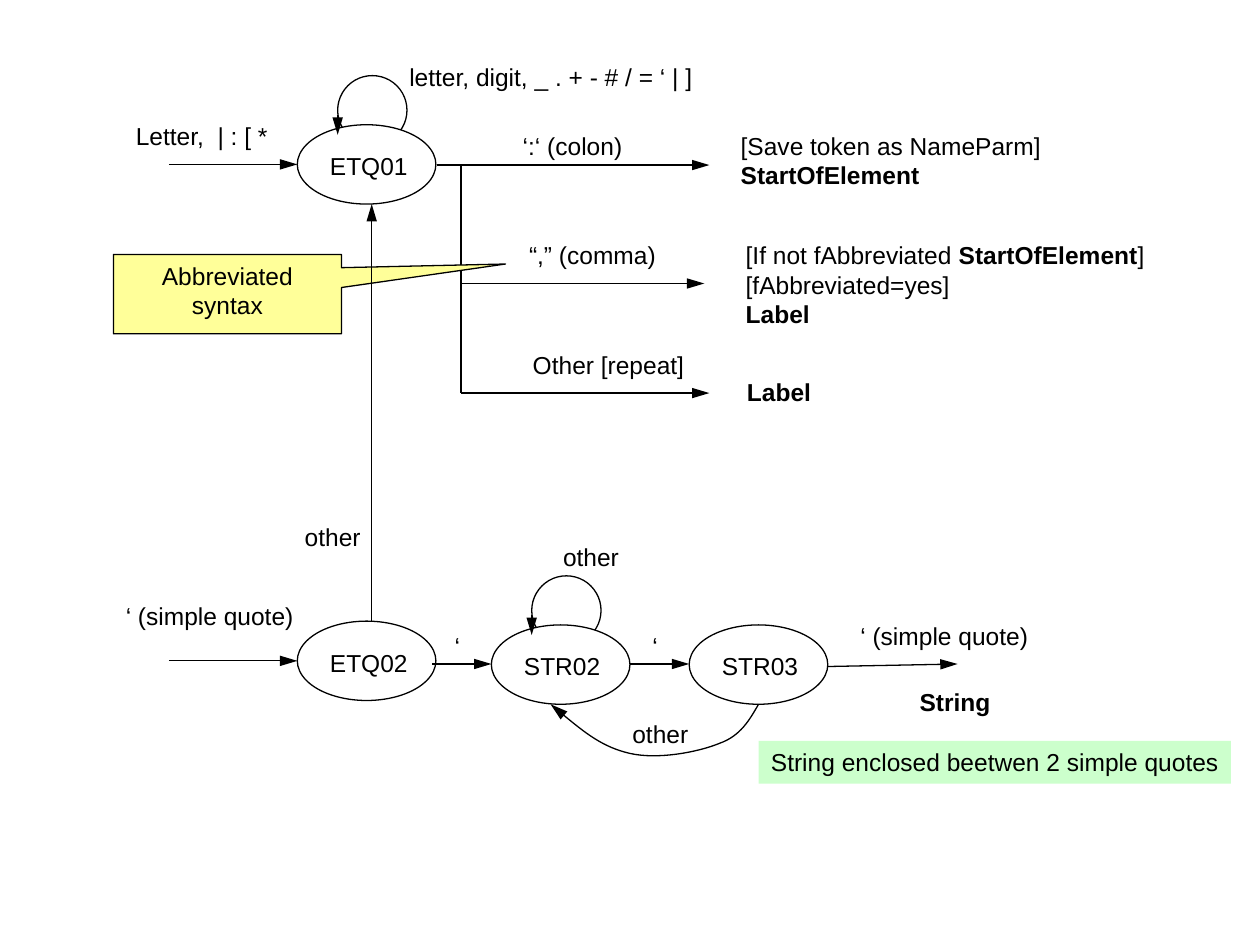
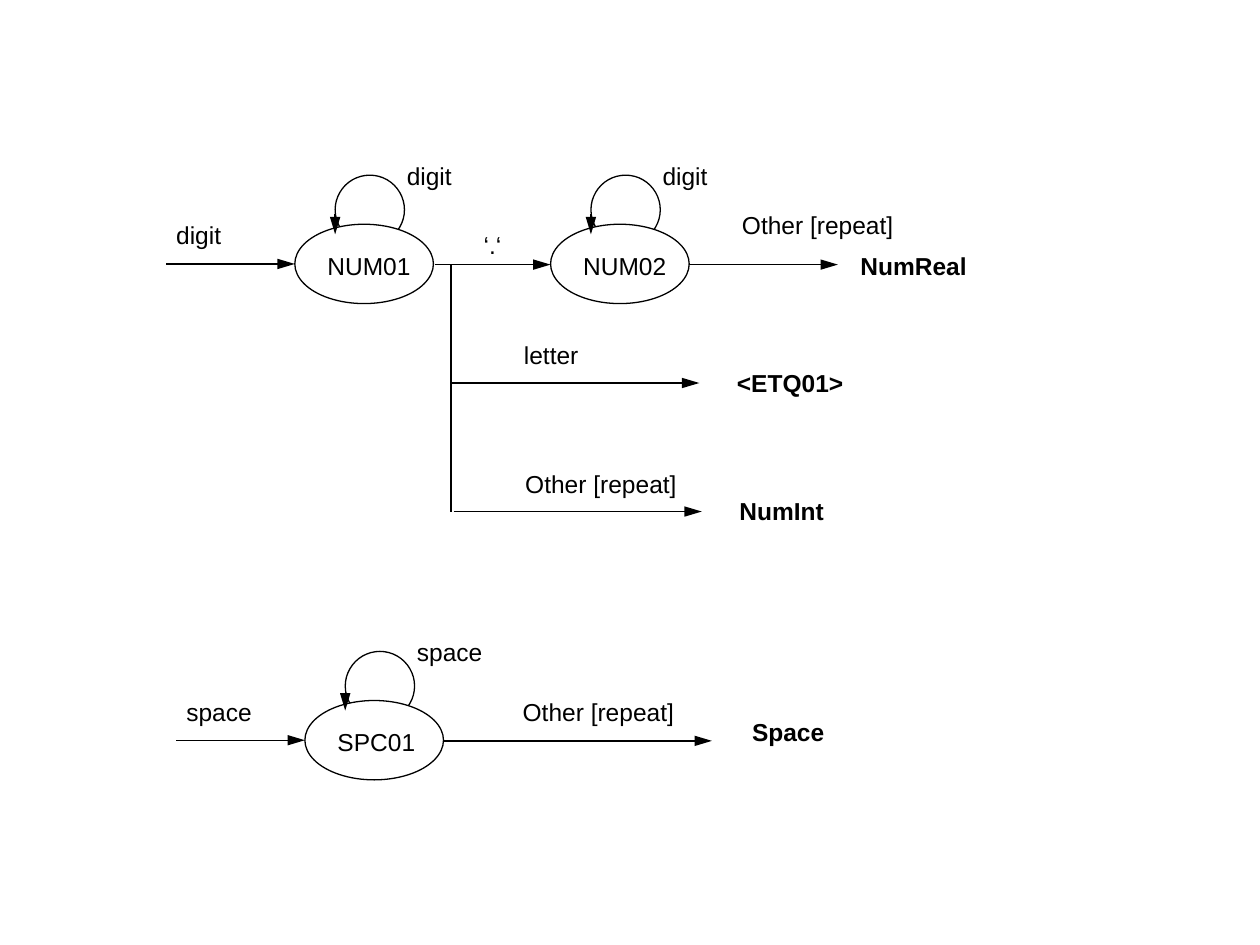
from lxml import etree
from pptx import Presentation
from pptx.dml.color import RGBColor
from pptx.enum import shapes, text
from pptx.oxml import ns
from pptx.util import Inches, Pt

BLACK = RGBColor(0x00, 0x00, 0x00)
WHITE = RGBColor(0xFF, 0xFF, 0xFF)
YELLOW = RGBColor(0xFF, 0xFF, 0x99)
GREEN = RGBColor(0xCC, 0xFF, 0xCC)

FONT = {"name": "Arial", "size": Pt(14)}
LINE_WIDTH = Pt(0.75)
LABEL_HEIGHT = 0.34
OUTCOME_WIDTH = 1.61
REPEAT = "Other [repeat]"
REPEAT_WIDTH = 1.4

STATE_WIDTH, STATE_HEIGHT = 1.1, 0.63
LOOP_SIZE = 0.55
LOOP_DX, LOOP_DY = 0.32, -0.39
ENTRY_LENGTH = 1.02


def set_values(target, values):
    for name, value in values.items():
        setattr(target, name, value)


def write(box, paras, wrap=False, align=None, grow=True):
    """Fill a box with paragraphs, each a list of (text, bold) spans."""
    frame = box.text_frame
    auto = text.MSO_AUTO_SIZE
    set_values(frame, {
        "word_wrap": wrap,
        "vertical_anchor": text.MSO_ANCHOR.TOP,
        "auto_size": auto.SHAPE_TO_FIT_TEXT if grow else auto.NONE,
        # Tight one-line boxes need slack on the right to stay on one line.
        "margin_right": Inches(0.1 if wrap else 0.04),
    })
    for index, spans in enumerate(paras):
        para = frame.add_paragraph() if index else frame.paragraphs[0]
        para.alignment = align or text.PP_ALIGN.LEFT
        for words, bold in spans:
            span = para.add_run()
            span.text = words
            set_values(span.font, {**FONT, "bold": bold})
            span.font.color.rgb = BLACK


def add_paras(page, x, y, width, paras, wrap=False):
    height = LABEL_HEIGHT + 0.23 * (len(paras) - 1)
    box = page.shapes.add_textbox(*map(Inches, (x, y, width, height)))
    write(box, paras, wrap)


def add_label(page, x, y, width, words, wrap=False):
    add_paras(page, x, y, width, [[(words, False)]], wrap)


def add_outcome(page, x, y, words):
    add_paras(page, x, y, OUTCOME_WIDTH, [[(words, True)]], wrap=True)


def draw_line(shape):
    shape.line.color.rgb = BLACK
    shape.line.width = LINE_WIDTH


def add_arrowhead(shape):
    line = shape.element.spPr.find(ns.qn("a:ln"))
    etree.SubElement(line, ns.qn("a:tailEnd"), type="triangle", w="med", len="lg")


def add_line(page, x1, y1, x2, y2, arrow=True):
    line = page.shapes.add_connector(
        shapes.MSO_CONNECTOR.STRAIGHT, *map(Inches, (x1, y1, x2, y2)))
    draw_line(line)
    if arrow:
        add_arrowhead(line)
    etree.SubElement(line.element.spPr, ns.qn("a:effectLst"))


def add_form(page, kind, x, y, width, height, fill=None, outlined=True):
    form = page.shapes.add_shape(kind, *map(Inches, (x, y, width, height)))
    form.shadow.inherit = False
    if fill is None:
        form.fill.background()
    else:
        form.fill.solid()
        form.fill.fore_color.rgb = fill
    if outlined:
        draw_line(form)
    else:
        form.line.fill.background()
    return form


def add_state(page, x, y, name, name_width, loops=False):
    """Draw a state, with an arrow back to itself if it loops."""
    oval = shapes.MSO_SHAPE.OVAL
    loop_x = x + LOOP_DX
    if loops:
        add_form(page, oval, loop_x, y + LOOP_DY, LOOP_SIZE, LOOP_SIZE)
    add_form(page, oval, x, y, STATE_WIDTH, STATE_HEIGHT, WHITE)
    add_label(page, x + 0.16, y + 0.16, name_width, name)
    if loops:
        add_line(page, loop_x, y - 0.08, loop_x, y + 0.08)


def add_entry(page, x, y):
    """Draw the arrow that leads into a state whose corner is at x, y."""
    middle = y + STATE_HEIGHT / 2
    add_line(page, x - ENTRY_LENGTH, middle, x, middle)


def add_curved_arrow(page, points):
    """Draw Bezier segments: a start point, then three points for each."""
    start, *rest = [tuple(map(Inches, point)) for point in points]
    builder = page.shapes.build_freeform(*start)
    builder.add_line_segments(rest, close=False)
    curve = builder.convert_to_shape()
    curve.shadow.inherit = False
    curve.fill.background()
    draw_line(curve)
    add_arrowhead(curve)
    steps = list(curve.element.iter(ns.qn("a:lnTo")))
    outline = steps[0].getparent()
    for first in range(0, len(steps), 3):
        bezier = etree.SubElement(outline, ns.qn("a:cubicBezTo"))
        for step in steps[first:first + 3]:
            bezier.append(step[0])
            outline.remove(step)


def build_label_and_string(page):
    add_state(page, 2.36, 0.99, "ETQ01", 0.82, loops=True)
    add_entry(page, 2.36, 0.99)
    add_label(page, 0.98, 0.91, 1.26, "Letter,  | : [ *")
    add_label(page, 3.15, 0.44, 2.56, "letter, digit, _ . + - # / = ‘ | ]", True)

    branch_x = 3.66
    add_line(page, branch_x, 1.31, branch_x, 3.12, arrow=False)
    for start, end, y in ((3.47, 5.63, 1.31), (branch_x, 5.59, 2.25),
                          (branch_x, 5.63, 3.12)):
        add_line(page, start, y, end, y)
    add_label(page, 4.05, 0.99, 0.99, "‘:‘ (colon)")
    add_label(page, 4.1, 1.86, 1.21, "“,” (comma)")
    add_label(page, 4.13, 2.73, REPEAT_WIDTH, REPEAT)
    add_outcome(page, 5.83, 2.94, "Label")

    callout = add_form(page, shapes.MSO_SHAPE.RECTANGULAR_CALLOUT,
                       0.9, 2.02, 1.81, 0.63, YELLOW)
    callout.adjustments[0], callout.adjustments[1] = 1.22, -0.38
    write(callout, [[("Abbreviated syntax", False)]], wrap=True,
          align=text.PP_ALIGN.CENTER, grow=False)

    add_paras(page, 5.82, 1.86, 3.36, [
        [("[If not fAbbreviated ", False), ("StartOfElement", True), ("]", False)],
        [("[fAbbreviated=yes]", False)],
        [("Label", True)],
    ])
    add_paras(page, 5.78, 0.99, 2.58, [
        [("[Save token as NameParm]", False)],
        [("StartOfElement", True)],
    ])

    add_state(page, 2.36, 4.93, "ETQ02", 0.82)
    add_entry(page, 2.36, 4.93)
    add_state(page, 3.9, 4.96, "STR02", 0.82, loops=True)
    add_state(page, 5.47, 4.96, "STR03", 0.82)
    add_line(page, 2.95, 4.93, 2.95, 1.62)
    add_line(page, 3.43, 5.27, 3.9, 5.27)
    add_line(page, 5, 5.27, 5.47, 5.27)
    add_line(page, 6.57, 5.29, 7.6, 5.27)
    add_curved_arrow(page, [
        (6.02, 5.59),
        (5.95, 5.71), (5.88, 5.84), (5.71, 5.9),
        (5.54, 5.97), (5.22, 6.03), (5, 5.98),
        (4.78, 5.93), (4.57, 5.76), (4.37, 5.59),
    ])
    for x, y in ((2.32, 4.09), (4.37, 4.25), (4.92, 5.66)):
        add_label(page, x, y, 0.69, "other", wrap=True)
    for x, y in ((0.9, 4.72), (6.73, 4.88)):
        add_label(page, x, y, 1.53, "‘ (simple quote)")
    for x in (3.51, 5.08):
        add_label(page, x, 4.96, 0.24, "‘")
    add_outcome(page, 7.2, 5.4, "String")

    note = add_form(page, shapes.MSO_SHAPE.RECTANGLE, 6.02, 5.88, 3.75,
                    LABEL_HEIGHT, GREEN, outlined=False)
    write(note, [[("String enclosed beetwen 2 simple quotes", False)]])


def build_number_and_space(page):
    for x, y, name, width in ((2.34, 1.78, "NUM01", 0.86),
                              (4.37, 1.78, "NUM02", 0.86),
                              (2.42, 5.56, "SPC01", 0.82)):
        add_state(page, x, y, name, width, loops=True)
    for x, y, words, width, loop_width in ((2.34, 1.78, "digit", 0.56, 0.69),
                                           (2.42, 5.56, "space", 0.72, 2.05)):
        add_entry(page, x, y)
        add_label(page, x - 1.04, y - 0.08, width, words)
        add_label(page, x + 0.79, y - 0.55, loop_width, words, wrap=True)
    add_label(page, 5.16, 1.23, 0.69, "digit", wrap=True)

    branch_x = 3.58
    add_line(page, branch_x, 2.1, branch_x, 4.06, arrow=False)
    for start, end, y in ((3.45, 4.37, 2.1), (5.47, 6.65, 2.1),
                          (branch_x, 5.55, 3.04), (3.6, 5.57, 4.06),
                          (3.52, 5.65, 5.88)):
        add_line(page, start, y, end, y)
    add_label(page, 3.74, 1.78, 0.34, "‘.‘")
    add_label(page, 4.06, 2.65, 0.63, "letter")
    for x, y in ((5.79, 1.62), (4.07, 3.67), (4.05, 5.48)):
        add_label(page, x, y, REPEAT_WIDTH, REPEAT)
    for x, y, words in ((6.73, 1.94, "NumReal"), (5.75, 2.87, "<ETQ01>"),
                        (5.77, 3.89, "NumInt"), (5.87, 5.64, "Space")):
        add_outcome(page, x, y, words)


def main():
    deck = Presentation()
    deck.slide_width, deck.slide_height = Inches(10), Inches(7.5)
    blank = deck.slide_layouts[6]
    for build in (build_label_and_string, build_number_and_space):
        build(deck.slides.add_slide(blank))
    deck.save("out.pptx")


if __name__ == "__main__":
    main()
